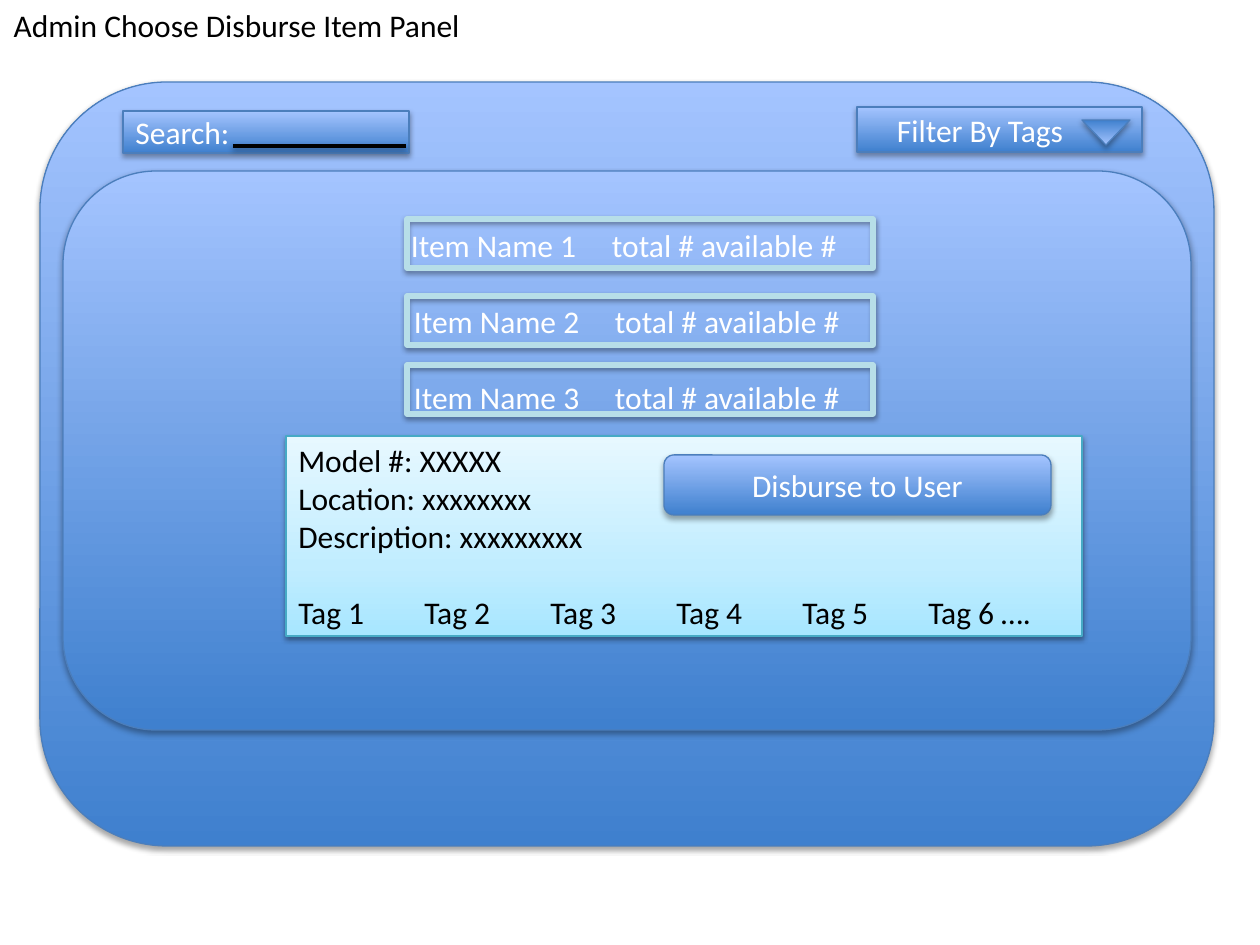
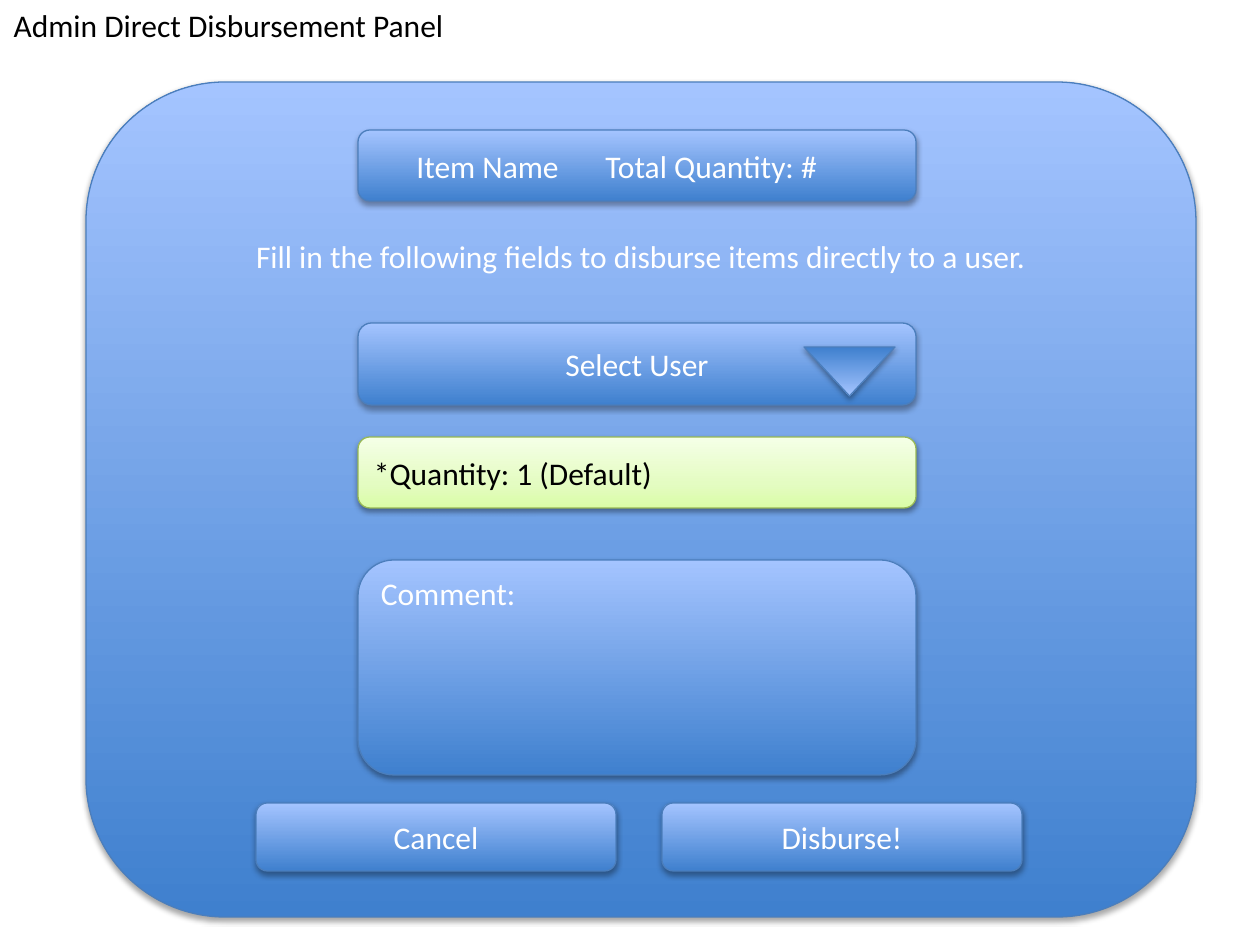
from lxml import etree
from pptx import Presentation
from pptx.dml.color import RGBColor
from pptx.enum.dml import MSO_FILL
from pptx.enum.shapes import MSO_CONNECTOR, MSO_SHAPE
from pptx.enum.text import MSO_ANCHOR, MSO_AUTO_SIZE, PP_ALIGN
from pptx.oxml.ns import qn
from pptx.util import Emu, Pt

FONT = "Calibri"
COLORS = {
    "text": "000000",
    "light_text": "FFFFFF",
    "blue_dark": "3F80CE",
    "blue_light": "A4C4FF",
    "blue_line": "4B7EBC",
    "aqua_dark": "A7E6FF",
    "aqua_mid": "C1EDFF",
    "aqua_light": "E7F8FF",
    "aqua_line": "46AAC5",
    "green_dark": "DAFDA7",
    "green_mid": "E4FCC2",
    "green_light": "F5FFE7",
    "green_line": "98B955",
    "frame": "B7DEE8",
    "shadow": "000000",
}
# Gradient stops run from the bottom of a shape to its top.
# Shadow is opacity in percent, then distance in EMU.
STRONG = (35, 23000)
SOFT = (38, 20000)
STYLES = {
    "blue": dict(stops=[(0, "blue_dark"), (100, "blue_light")],
                 line="blue_line", width=0.75, shadow=STRONG, text="light_text"),
    "aqua": dict(stops=[(0, "aqua_dark"), (35, "aqua_mid"), (100, "aqua_light")],
                 line="aqua_line", width=0.75, shadow=SOFT, text="text"),
    "green": dict(stops=[(0, "green_dark"), (35, "green_mid"), (100, "green_light")],
                  line="green_line", width=0.75, shadow=SOFT, text="text"),
    "frame": dict(stops=[], line="frame", width=3, shadow=SOFT, text="light_text"),
}
ROUND = MSO_SHAPE.ROUNDED_RECTANGLE
RECT = MSO_SHAPE.RECTANGLE


def px(n):
    return Emu(round(n * 914400 / 126))


def rgb(name):
    return RGBColor.from_string(COLORS[name])


def add_color(parent, name):
    return etree.SubElement(parent, qn("a:srgbClr"), val=COLORS[name])


def set_gradient(fill, stops, sp):
    if not stops:
        fill.background()
        return
    if fill.type != MSO_FILL.GRADIENT:
        fill.gradient()
    fill.gradient_angle = 90
    gs_lst = next(sp._element.iter(qn("a:gsLst")))
    for gs in list(gs_lst):
        gs_lst.remove(gs)
    for pos, name in stops:
        add_color(etree.SubElement(gs_lst, qn("a:gs"), pos=str(pos * 1000)), name)


def add_shadow(effects, opacity, dist):
    outer = etree.SubElement(effects, qn("a:outerShdw"), blurRad="40000",
                             dist=str(dist), dir="5400000", rotWithShape="0")
    etree.SubElement(add_color(outer, "shadow"), qn("a:alpha"),
                     val=str(opacity * 1000))


def write(tf, lines, color, align=PP_ALIGN.LEFT, tab=None):
    """Fill a text frame; each line is a string or (string, points before)."""
    for i, line in enumerate(lines):
        text, before = line if isinstance(line, tuple) else (line, 0)
        p = tf.paragraphs[0] if i == 0 else tf.add_paragraph()
        p.alignment = align
        if before:
            p.space_before = Pt(before)
        if tab:
            tabs = etree.SubElement(p._p.get_or_add_pPr(), qn("a:tabLst"))
            etree.SubElement(tabs, qn("a:tab"), pos=str(px(tab)), algn="l")
        r = p.add_run()
        r.text = text
        r.font.name = FONT
        r.font.size = Pt(18)
        r.font.color.rgb = rgb(color)


def add_box(slide, x, y, w, h, lines=(), kind=ROUND, style="blue",
            align=PP_ALIGN.CENTER, tab=None, left=None):
    look = STYLES[style]
    sp = slide.shapes.add_shape(kind, px(x), px(y), px(w), px(h))
    set_gradient(sp.fill, look["stops"], sp)
    sp.line.color.rgb = rgb(look["line"])
    sp.line.width = Pt(look["width"])
    sp.shadow.inherit = False
    add_shadow(sp._element.spPr.find(qn("a:effectLst")), *look["shadow"])
    tf = sp.text_frame
    tf.word_wrap = True
    if left is not None:
        tf.margin_left = px(left)
    write(tf, lines, look["text"], align, tab)
    return sp


def add_label(slide, x, y, w, text, align=PP_ALIGN.LEFT, tab=None):
    tf = slide.shapes.add_textbox(px(x), px(y), px(w), px(38)).text_frame
    tf.word_wrap = True
    tf.margin_left = tf.margin_right = tf.margin_top = tf.margin_bottom = 0
    tf.vertical_anchor = MSO_ANCHOR.MIDDLE
    write(tf, [text], "light_text", align, tab)


def add_drop_arrow(slide, x, y, w, h):
    add_box(slide, x, y, w, h, kind=MSO_SHAPE.ISOSCELES_TRIANGLE).rotation = 180


def add_titled_slide(prs, title):
    slide = prs.slides.add_slide(prs.slide_layouts[5])
    sp = slide.shapes.title
    sp.left, sp.top, sp.width, sp.height = px(1), px(0), px(478), px(50)
    tf = sp.text_frame
    tf.word_wrap = False
    tf.auto_size = MSO_AUTO_SIZE.NONE
    tf.vertical_anchor = MSO_ANCHOR.TOP
    write(tf, [title], "text")
    return slide


def search_box(slide, x, y, w, h):
    add_box(slide, x, y, w, h, ["Search:"], RECT, align=PP_ALIGN.LEFT)
    line = slide.shapes.add_connector(MSO_CONNECTOR.STRAIGHT, px(x + 110),
                                      px(y + 35), px(x + w - 3), px(y + 35))
    line.line.color.rgb = rgb("text")
    line.line.width = Pt(2)
    add_shadow(etree.SubElement(line._element.spPr, qn("a:effectLst")), *SOFT)


def tag_filter(slide, x, y, w, h):
    add_box(slide, x, y, w, h, ["Filter By Tags"], RECT,
            align=PP_ALIGN.LEFT, left=40)
    add_drop_arrow(slide, x + 225, y + 13, 48, 25)


def item_details(slide, x, y, w, h):
    tags = "\t".join(f"Tag {n}" for n in range(1, 7)) + " …."
    lines = ["Model #: XXXXX", "Location: xxxxxxxx",
             "Description: xxxxxxxxx", (tags, 22)]
    add_box(slide, x, y, w, h, lines, RECT, "aqua", PP_ALIGN.LEFT)
    add_box(slide, x + 378, y + 19, 387, 60, ["Disburse to User"])


def item_list(slide, x, y, w, h):
    add_box(slide, x, y, w, h)
    for i, (text_x, frame_y) in enumerate([(348, 48), (351, 125), (351, 194)]):
        add_box(slide, x + 344, y + frame_y, 466, 49, kind=RECT, style="frame")
        add_label(slide, x + text_x, y + 55 + 76 * i, 455,
                  f"Item Name {i + 1}\ttotal # available #", tab=201)
    item_details(slide, x + 223, y + 265, 796, 200)


def choose_item_panel(slide, x, y, w, h):
    add_box(slide, x, y, w, h)
    item_list(slide, x + 23, y + 89, 1128, 559)
    search_box(slide, x + 83, y + 29, 286, 42)
    tag_filter(slide, x + 817, y + 25, 285, 45)


def disbursement_panel(slide, x, y, w, h):
    add_box(slide, x, y, w, h)
    add_label(slide, x, y + 155, w,
              "Fill in the following fields to disburse items directly to a user.",
              PP_ALIGN.CENTER)

    field_x, field_w = x + 272, 558
    add_box(slide, field_x, y + 48, field_w, 71,
            ["Item Name\tTotal Quantity: #"], align=PP_ALIGN.LEFT, tab=189, left=55)
    add_box(slide, field_x, y + 241, field_w, 82, ["Select User"])
    add_drop_arrow(slide, field_x + 446, y + 265, 91, 49)
    add_box(slide, field_x, y + 355, field_w, 71, ["*Quantity: 1 (Default)"],
            style="green", align=PP_ALIGN.LEFT)
    comment = add_box(slide, field_x, y + 478, field_w, 215, ["Comment:"],
                      align=PP_ALIGN.LEFT)
    comment.text_frame.vertical_anchor = MSO_ANCHOR.TOP
    comment.text_frame.margin_top = px(4)

    for i, label in enumerate(["Cancel", "Disburse!"]):
        add_box(slide, x + 170 + 406 * i, y + 721, 360, 68, [label])


def main():
    prs = Presentation()
    prs.slide_width, prs.slide_height = px(1260), px(945)
    choose_item_panel(add_titled_slide(prs, "Admin Choose Disburse Item Panel"),
                      40, 82, 1174, 764)
    disbursement_panel(add_titled_slide(prs, "Admin Direct Disbursement Panel"),
                       86, 82, 1110, 835)
    prs.save("out.pptx")


if __name__ == "__main__":
    main()
